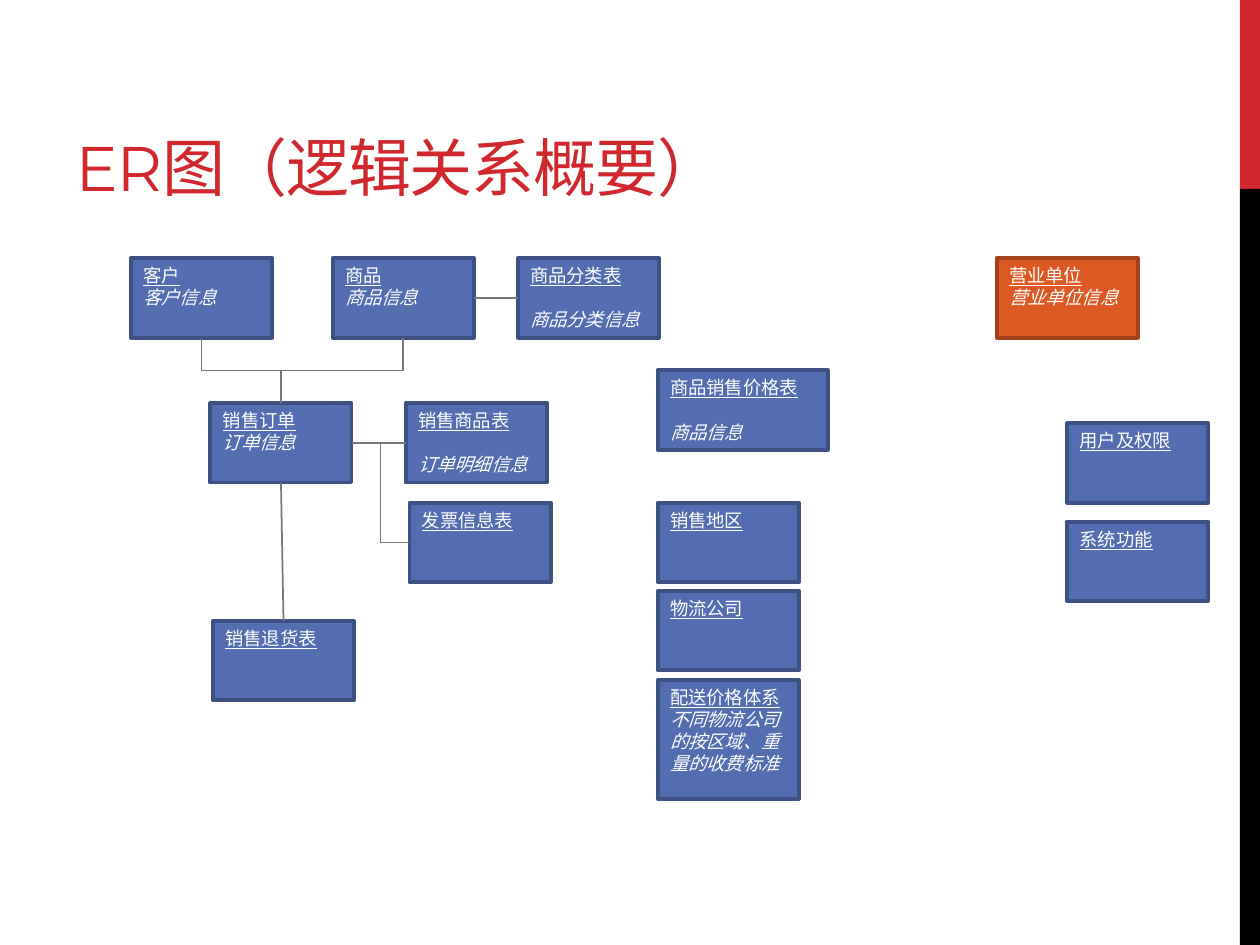
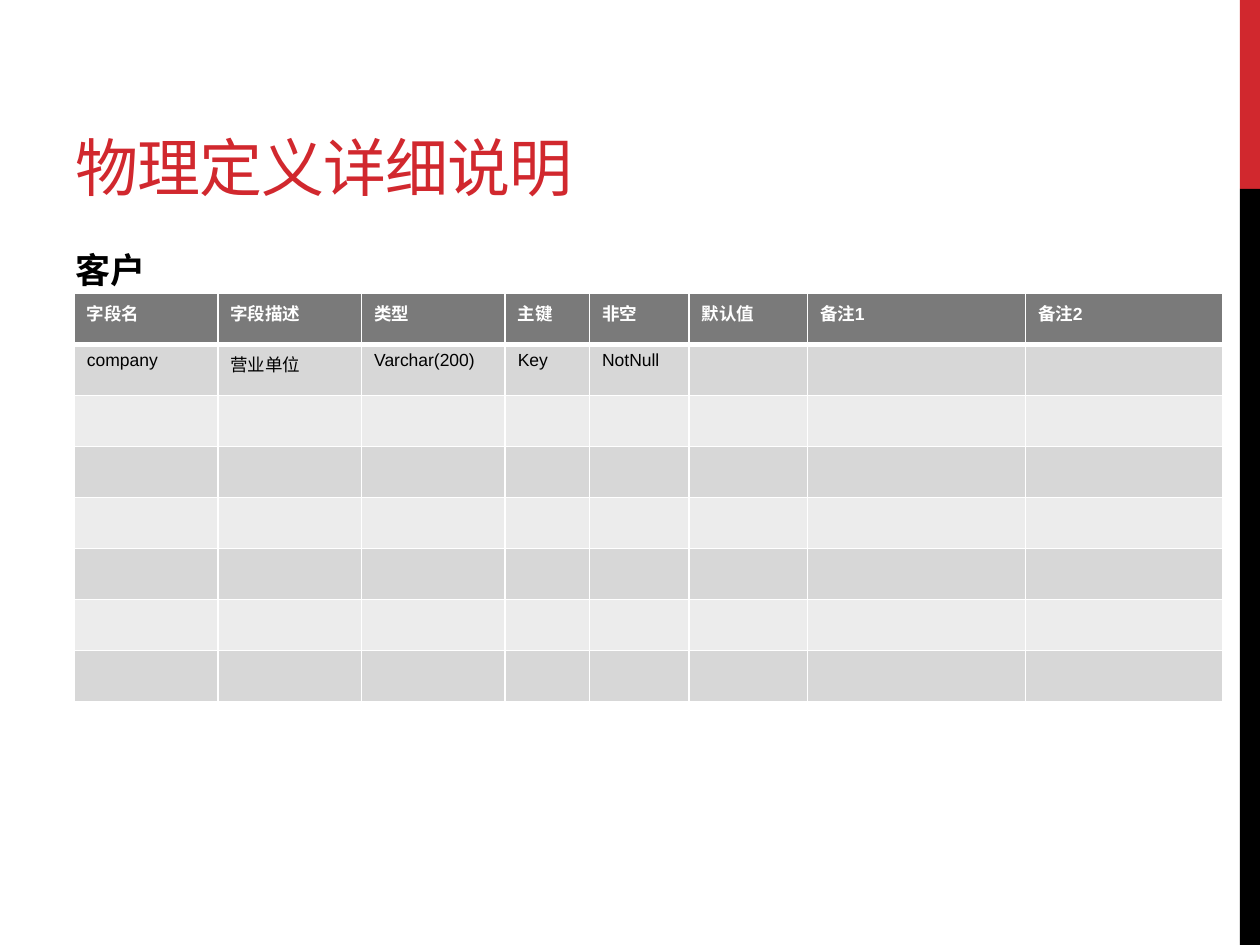
import pptx
import pptx.util
import pptx.dml.color
import pptx.enum.shapes
import pptx.enum.text
import pptx.oxml
import pptx.oxml.ns
import lxml.etree

Inches, Pt = pptx.util.Inches, pptx.util.Pt
RGBColor = pptx.dml.color.RGBColor
CONNECTOR = pptx.enum.shapes.MSO_CONNECTOR
ANCHOR = pptx.enum.text.MSO_ANCHOR
qn = pptx.oxml.ns.qn

RED = RGBColor(0xD1, 0x28, 0x2E)
BLACK = RGBColor(0, 0, 0)
WHITE = RGBColor(255, 255, 255)
BLUE, BLUE_EDGE = RGBColor(0x52, 0x6D, 0xB0), RGBColor(0x3D, 0x51, 0x82)
ORANGE, ORANGE_EDGE = RGBColor(0xDC, 0x59, 0x24), RGBColor(0xA3, 0x42, 0x1B)
LINE_GREY = RGBColor(0x77, 0x77, 0x77)
HEADER_GREY = RGBColor(0x7A, 0x7A, 0x7A)
BAND_GREYS = RGBColor(0xD7, 0xD7, 0xD7), RGBColor(0xEC, 0xEC, 0xEC)

TITLE_FONT, BODY_FONT = "Montserrat", "Arial"
SLIDE_WIDTH, SLIDE_HEIGHT = 10, 7.5
BAND_WIDTH, BAND_SPLIT = 0.16, SLIDE_HEIGHT / 5
BOX_WIDTH, BOX_HEIGHT = 1.12, 0.63
TOP_ROW = 2.05
ORDER_ROW = 3.2
PRICE_LEFT, ACCESS_LEFT = 5.22, 8.47
ONE_LINE = 12.6

# name: (left, top, description, points between name and description)
ENTITIES = {
    "客户": (1.04, TOP_ROW, "客户信息", 0),
    "商品": (2.64, TOP_ROW, "商品信息", 0),
    "商品分类表": (4.11, TOP_ROW, "商品分类信息", ONE_LINE),
    "营业单位": (7.91, TOP_ROW, "营业单位信息", 0),
    "销售订单": (1.67, ORDER_ROW, "订单信息", 0),
    "销售商品表": (3.22, ORDER_ROW, "订单明细信息", ONE_LINE),
    "发票信息表": (3.25, 3.99, "", 0),
    "销售退货表": (1.69, 4.93, "", 0),
    "商品销售价格表": (PRICE_LEFT, 2.94, "商品信息", ONE_LINE),
    "销售地区": (PRICE_LEFT, 3.99, "", 0),
    "物流公司": (PRICE_LEFT, 4.69, "", 0),
    "配送价格体系": (PRICE_LEFT, 5.4, "不同物流公司的按区域、重量的收费标准", 0),
    "用户及权限": (ACCESS_LEFT, 3.36, "", 0),
    "系统功能": (ACCESS_LEFT, 4.14, "", 0),
}
SPECIAL_SIZES = {"商品销售价格表": (1.35, BOX_HEIGHT), "配送价格体系": (BOX_WIDTH, 0.94)}
HIGHLIGHTED = "营业单位"

TOP, LEFT, BOTTOM, RIGHT = range(4)
JOINED_LINKS = [
    ("商品", RIGHT, "商品分类表", LEFT, CONNECTOR.STRAIGHT),
    ("销售订单", RIGHT, "销售商品表", LEFT, CONNECTOR.STRAIGHT),
    ("销售订单", RIGHT, "发票信息表", LEFT, CONNECTOR.ELBOW),
    ("销售订单", BOTTOM, "销售退货表", TOP, CONNECTOR.STRAIGHT),
]
DOWNWARD_LINKS = [("客户", "销售订单"), ("商品", "销售订单")]

TABLE_LEFT, TABLE_TOP, ROW_HEIGHT, ROW_COUNT = 0.59, 2.33, 0.405, 8
COLUMNS = [("字段名", 1.14), ("字段描述", 1.14), ("类型", 1.14), ("主键", 0.67),
           ("非空", 0.79), ("默认值", 0.94), ("备注1", 1.73), ("备注2", 1.57)]
FIELDS = [["company", "营业单位", "Varchar(200)", "Key", "NotNull"]]


def add_run(paragraph, text, size, color, font=BODY_FONT):
    run = paragraph.add_run()
    run.text = text
    run.font.name, run.font.size = font, Pt(size)
    run.font.color.rgb = color
    return run


def add_rectangle(slide, left, top, width, height, fill, edge=None):
    shape = slide.shapes.add_shape(
        pptx.enum.shapes.MSO_SHAPE.RECTANGLE,
        *(Inches(length) for length in (left, top, width, height)))
    shape.shadow.inherit = False
    shape.fill.solid()
    shape.fill.fore_color.rgb = fill
    if edge is None:
        shape.line.fill.background()
    else:
        shape.line.color.rgb = edge
        shape.line.width = Pt(2.25)
    return shape


def add_titled_slide(presentation, text, title_width):
    slide = presentation.slides.add_slide(presentation.slide_layouts[5])
    band_left = SLIDE_WIDTH - BAND_WIDTH
    add_rectangle(slide, band_left, 0, BAND_WIDTH, BAND_SPLIT, RED)
    add_rectangle(slide, band_left, BAND_SPLIT, BAND_WIDTH, SLIDE_HEIGHT - BAND_SPLIT, BLACK)
    title = slide.shapes.title
    title.left, title.top = Inches(0.5), Inches(0.17)
    title.width, title.height = Inches(title_width), Inches(1.5)
    frame = title.text_frame
    frame.auto_size = pptx.enum.text.MSO_AUTO_SIZE.NONE
    frame.vertical_anchor = ANCHOR.BOTTOM
    paragraph = frame.paragraphs[0]
    paragraph.alignment = pptx.enum.text.PP_ALIGN.LEFT
    run = add_run(paragraph, text, 36, RED, TITLE_FONT)
    run.font._element.set("spc", "-60")
    return slide


def add_entity(slide, name, left, top, description, gap):
    width, height = SPECIAL_SIZES.get(name, (BOX_WIDTH, BOX_HEIGHT))
    colors = (ORANGE, ORANGE_EDGE) if name == HIGHLIGHTED else (BLUE, BLUE_EDGE)
    box = add_rectangle(slide, left, top, width, height, *colors)
    frame = box.text_frame
    frame.word_wrap = True
    frame.vertical_anchor = ANCHOR.TOP
    paragraph = frame.paragraphs[0]
    paragraph.alignment = pptx.enum.text.PP_ALIGN.LEFT
    add_run(paragraph, name, 10.5, WHITE).font.underline = True
    if description:
        paragraph = frame.add_paragraph()
        paragraph.alignment = pptx.enum.text.PP_ALIGN.LEFT
        paragraph.space_before = Pt(gap)
        add_run(paragraph, description, 10.5, WHITE).font.italic = True
    return box


def add_link(slide, kind, *ends):
    link = slide.shapes.add_connector(kind, *(int(end) for end in ends))
    link.line.color.rgb = LINE_GREY
    link.line.width = Pt(1)
    lxml.etree.SubElement(link._element.spPr, qn("a:effectLst"))
    return link


def add_downward_elbow(slide, upper, lower):
    """Turn an elbow a quarter so that it leaves and arrives vertically."""
    start_x, start_y = upper.left + upper.width / 2, upper.top + upper.height
    end_x, end_y = lower.left + lower.width / 2, lower.top
    center_x, center_y = (start_x + end_x) / 2, (start_y + end_y) / 2
    rightward = end_x > start_x
    half_run = (end_y - start_y) / 2 * (1 if rightward else -1)
    half_rise = abs(end_x - start_x) / 2
    link = add_link(slide, CONNECTOR.ELBOW, center_x + half_run, center_y - half_rise,
                    center_x - half_run, center_y + half_rise)
    degrees = 270 if rightward else 90
    link._element.spPr.find(qn("a:xfrm")).set("rot", str(degrees * 60000))


def style_cell(cell, fill, bottom_width):
    cell.fill.solid()
    cell.fill.fore_color.rgb = fill
    properties = cell._tc.get_or_add_tcPr()
    for position, side in enumerate("LRTB"):
        width = Pt(bottom_width if side == "B" else 1)
        border = pptx.oxml.parse_xml(
            f'<a:ln{side} {pptx.oxml.ns.nsdecls("a")} w="{int(width)}">'
            f'<a:solidFill><a:srgbClr val="{WHITE}"/></a:solidFill></a:ln{side}>')
        properties.insert(position, border)


def add_field_table(slide):
    table = slide.shapes.add_table(
        ROW_COUNT, len(COLUMNS), Inches(TABLE_LEFT), Inches(TABLE_TOP),
        Inches(sum(width for _, width in COLUMNS)), Inches(ROW_HEIGHT * ROW_COUNT)).table
    table.first_row = table.horz_banding = False
    for column, (_, width) in zip(table.columns, COLUMNS):
        column.width = Inches(width)
    texts = [[name for name, _ in COLUMNS]] + FIELDS
    for row_index, row in enumerate(table.rows):
        row.height = Inches(ROW_HEIGHT)
        is_header = row_index == 0
        fill = HEADER_GREY if is_header else BAND_GREYS[(row_index - 1) % 2]
        for cell in row.cells:
            style_cell(cell, fill, 3 if is_header else 1)
        if row_index < len(texts):
            for cell, text in zip(row.cells, texts[row_index]):
                run = add_run(cell.text_frame.paragraphs[0], text, 10,
                              WHITE if is_header else BLACK)
                run.font.bold = is_header


def build_er_slide(presentation):
    slide = add_titled_slide(presentation, "ER图（逻辑关系概要）", 8.67)
    boxes = {name: add_entity(slide, name, *details) for name, details in ENTITIES.items()}
    for upper, lower in DOWNWARD_LINKS:
        add_downward_elbow(slide, boxes[upper], boxes[lower])
    for source, source_side, target, target_side, kind in JOINED_LINKS:
        link = add_link(slide, kind, 0, 0, 0, 0)
        link.begin_connect(boxes[source], source_side)
        link.end_connect(boxes[target], target_side)


def build_definition_slide(presentation):
    slide = add_titled_slide(presentation, "物理定义详细说明", 6.33)
    heading = slide.shapes.add_textbox(Inches(0.5), Inches(1.92), Inches(8.33), Inches(0.42))
    heading.text_frame.word_wrap = True
    add_run(heading.text_frame.paragraphs[0], "客户", 20, BLACK).font.bold = True
    add_field_table(slide)


def main():
    presentation = pptx.Presentation()
    presentation.slide_width = Inches(SLIDE_WIDTH)
    presentation.slide_height = Inches(SLIDE_HEIGHT)
    build_er_slide(presentation)
    build_definition_slide(presentation)
    presentation.save("out.pptx")


if __name__ == "__main__":
    main()
